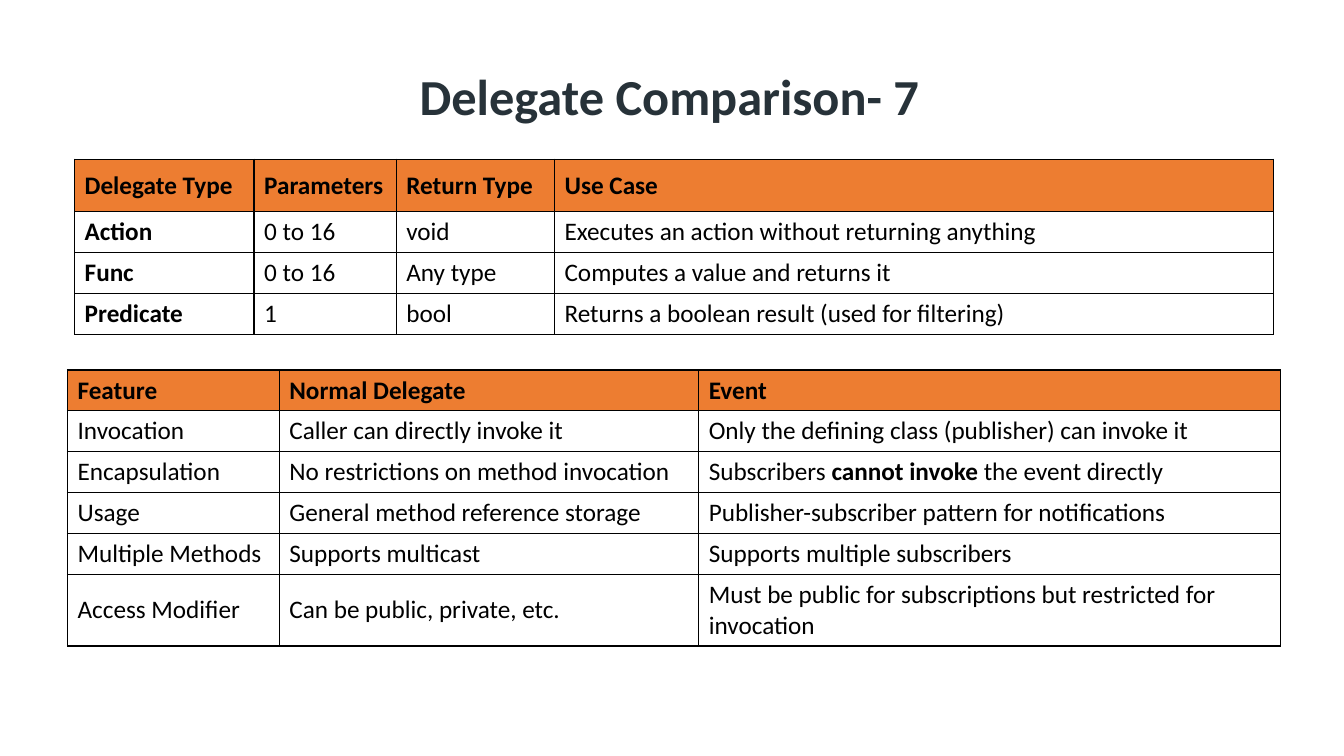
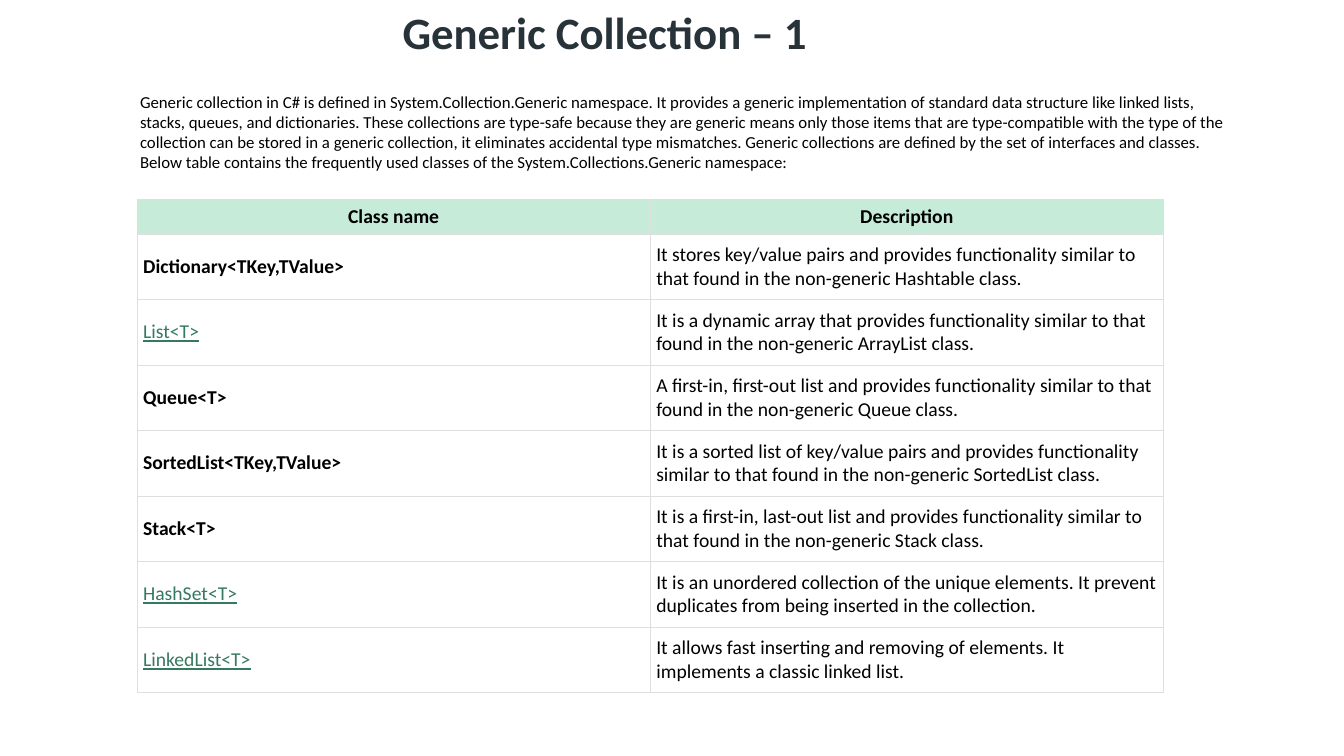
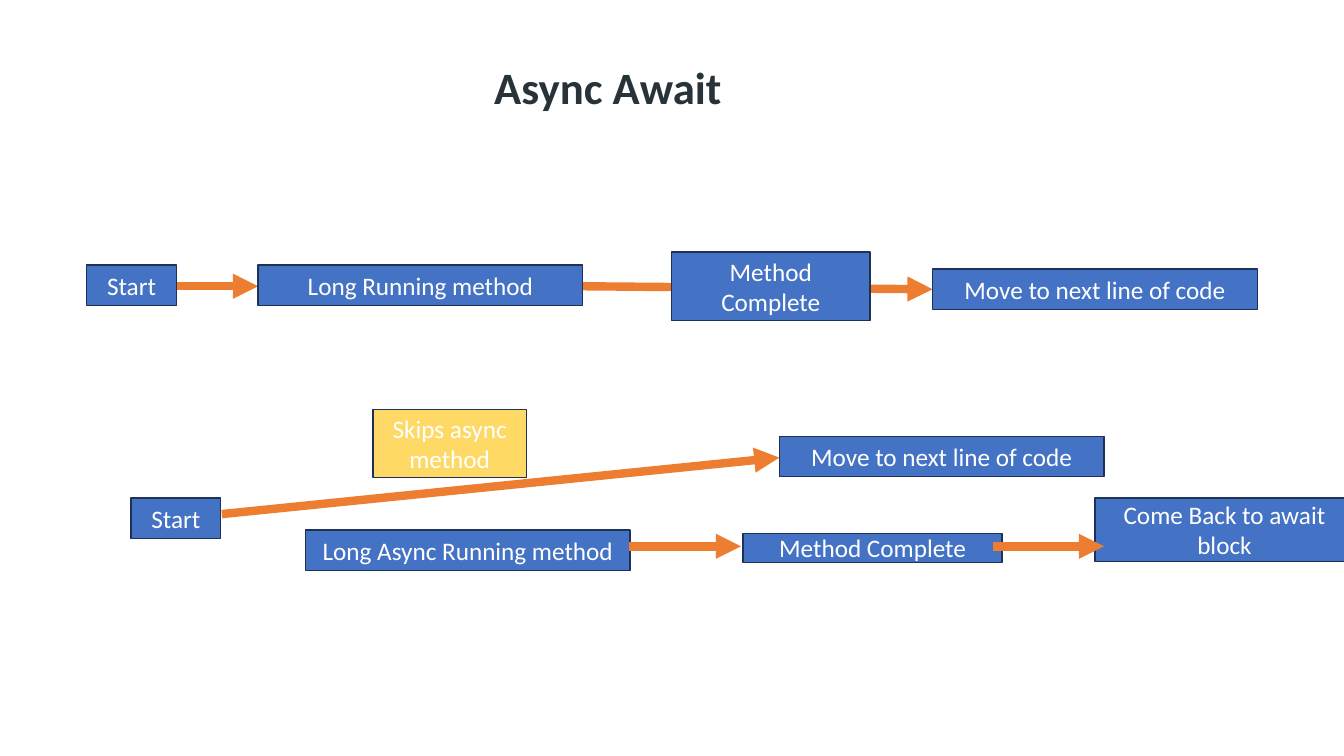
from lxml.etree import SubElement
from pptx import Presentation
from pptx.dml.color import RGBColor
from pptx.enum.shapes import MSO_CONNECTOR as Connector, MSO_SHAPE as Shape
from pptx.enum.text import MSO_ANCHOR as Anchor, MSO_AUTO_SIZE as AutoSize, PP_ALIGN as Align
from pptx.oxml import parse_xml
from pptx.oxml.ns import nsdecls, qn
from pptx.util import Inches, Pt

FONT = "Calibri"
BLACK, WHITE, INK = "000000", "FFFFFF", "273239"
ORANGE, BLUE, NAVY, YELLOW = "ED7D31", "4472C4", "1E3256", "FFD966"
MINT, GREEN, GRAY = "C6EBD9", "357960", "DFDFDF"
TITLE_ONLY = 5

DELEGATES = [
    ["Delegate Type", "Parameters", "Return Type", "Use Case"],
    ["**Action**", "0 to 16", "void", "Executes an action without returning anything"],
    ["**Func**", "0 to 16", "Any type", "Computes a value and returns it"],
    ["**Predicate**", "1", "bool", "Returns a boolean result (used for filtering)"],
]
FEATURES = [
    ["Feature", "Normal Delegate", "Event"],
    ["Invocation", "Caller can directly invoke it", "Only the defining class (publisher) can invoke it"],
    ["Encapsulation", "No restrictions on method invocation",
     "Subscribers **cannot invoke** the event directly"],
    ["Usage", "General method reference storage", "Publisher-subscriber pattern for notifications"],
    ["Multiple Methods", "Supports multicast", "Supports multiple subscribers"],
    ["Access Modifier", "Can be public, private, etc.",
     "Must be public for subscriptions but restricted for invocation"],
]
CLASSES = [
    ["Class name", "Description"],
    ["**Dictionary<TKey,TValue>**", "It stores key/value pairs and provides functionality similar to "
     "that found in the non-generic Hashtable class."],
    ["List<T>", "It is a dynamic array that provides functionality similar to that found in the "
     "non-generic ArrayList class."],
    ["**Queue<T>**", "A first-in, first-out list and provides functionality similar to that found in "
     "the non-generic Queue class."],
    ["**SortedList<TKey,TValue>**", "It is a sorted list of key/value pairs and provides functionality "
     "similar to that found in the non-generic SortedList class."],
    ["**Stack<T>**", "It is a first-in, last-out list and provides functionality similar to that found "
     "in the non-generic Stack class."],
    ["HashSet<T>", "It is an unordered collection of the unique elements. It prevent duplicates from "
     "being inserted in the collection."],
    ["LinkedList<T>", "It allows fast inserting and removing of elements. It implements a classic "
     "linked list."],
]
LINKED = {"List<T>", "HashSet<T>", "LinkedList<T>"}
INTRO = (
    "Generic collection in C# is defined in System.Collection.Generic namespace. It provides a generic "
    "implementation of standard data structure like linked lists, stacks, queues, and dictionaries. These "
    "collections are type-safe because they are generic means only those items that are type-compatible "
    "with the type of the collection can be stored in a generic collection, it eliminates accidental type "
    "mismatches. Generic collections are defined by the set of interfaces and classes. Below table contains "
    "the frequently used classes of the System.Collections.Generic namespace:"
)


def color(value):
    return RGBColor.from_string(value)


def inches(*lengths):
    return [Inches(length) for length in lengths]


def write(frame, text, size=18, ink=BLACK, bold=False, underline=False, align=Align.LEFT):
    para = frame.paragraphs[0]
    para.alignment = align
    for index, part in enumerate(text.split("**")):
        if part:
            span = para.add_run()
            span.text = part
            font = span.font
            font.name, font.size = FONT, Pt(size)
            font.bold = bold or index % 2 == 1
            font.underline = underline
            font.color.rgb = color(ink)


def add_page(deck, title, box, size=32):
    page = deck.slides.add_slide(deck.slide_layouts[TITLE_ONLY])
    heading = page.shapes.title
    heading.left, heading.top, heading.width, heading.height = inches(*box)
    frame = heading.text_frame
    frame.auto_size = AutoSize.NONE
    frame.vertical_anchor = Anchor.TOP
    write(frame, title, size=size, ink=INK, bold=True, align=Align.CENTER)
    return page


def add_borders(cell, line, width):
    properties = cell._tc.get_or_add_tcPr()
    for index, side in enumerate(("lnL", "lnR", "lnT", "lnB")):
        properties.insert(index, parse_xml(
            f'<a:{side} {nsdecls("a")} w="{Pt(width)}"><a:solidFill>'
            f'<a:srgbClr val="{line}"/></a:solidFill></a:{side}>'))


def add_grid(page, at, columns, heights, rows, head=ORANGE, line=BLACK, width=1, size=18,
             head_align=Align.LEFT, head_margin=(0.1, 0.05), margin=(0.1, 0.05)):
    table = page.shapes.add_table(
        len(rows), len(columns), *inches(*at, sum(columns), sum(heights))).table
    table.first_row = table.horz_banding = False
    for column, length in zip(table.columns, columns):
        column.width = Inches(length)
    for number, (row, height, texts) in enumerate(zip(table.rows, heights, rows)):
        row.height = Inches(height)
        top = number == 0
        across, down = inches(*(head_margin if top else margin))
        for cell, text in zip(row.cells, texts):
            cell.vertical_anchor = Anchor.MIDDLE
            cell.margin_left = cell.margin_right = across
            cell.margin_top = cell.margin_bottom = down
            cell.fill.solid()
            cell.fill.fore_color.rgb = color(head if top else WHITE)
            add_borders(cell, line, width)
            linked = text in LINKED
            write(cell.text_frame, text, size=size, ink=GREEN if linked else BLACK, bold=top,
                  underline=linked, align=head_align if top else Align.LEFT)


def add_step(page, text, box, fill=BLUE):
    step = page.shapes.add_shape(Shape.RECTANGLE, *inches(*box))
    step.shadow.inherit = False
    step.fill.solid()
    step.fill.fore_color.rgb = color(fill)
    step.line.color.rgb = color(NAVY)
    step.line.width = Pt(1)
    step.text_frame.word_wrap = True
    step.text_frame.vertical_anchor = Anchor.MIDDLE
    write(step.text_frame, text, ink=WHITE, align=Align.CENTER)


def add_arrow(page, ends):
    arrow = page.shapes.add_connector(Connector.STRAIGHT, *inches(*ends))
    arrow.line.color.rgb = color(ORANGE)
    arrow.line.width = Pt(6)
    properties = arrow.element.spPr
    SubElement(properties.find(qn("a:ln")), qn("a:tailEnd"), type="triangle")
    SubElement(properties, qn("a:effectLst"))


def add_lane(page, left, top, steps, behind=(), front=()):
    def shift(ends):
        x1, y1, x2, y2 = ends
        return left + x1, top + y1, left + x2, top + y2

    for ends in behind:
        add_arrow(page, shift(ends))
    for text, (x, y, width, height), fill in steps:
        add_step(page, text, (left + x, top + y, width, height), fill)
    for ends in front:
        add_arrow(page, shift(ends))


def build_delegates(deck):
    page = add_page(deck, "Delegate Comparison- 7", (3.3, 0.6, 6.68, 0.71), size=36)
    add_grid(page, (0.74, 1.58), [1.78, 1.41, 1.57, 7.13], [0.52] + [0.4] * 3, DELEGATES)
    add_grid(page, (0.67, 3.67), [2.1, 4.16, 5.77], [0.4] * 5 + [0.7], FEATURES)


def build_collections(deck):
    page = add_page(deck, "Generic Collection – 1", (1.36, 0, 9.28, 0.64))
    intro = page.shapes.add_textbox(*inches(1.29, 0.86, 11.12, 0.91)).text_frame
    intro.word_wrap = True
    write(intro, INTRO, size=12)
    add_grid(page, (1.36, 1.98), [5.09] * 2, [0.34] + [0.65] * 7, CLASSES, head=MINT, line=GRAY,
             width=0.18, size=14, head_align=Align.CENTER, head_margin=(0.03, 0.05),
             margin=(0.06, 0.09))


def build_async(deck):
    page = add_page(deck, "Async Await", (1.39, 0.54, 9.28, 0.64))
    add_lane(page, 0.86, 2.5, [
        ("Start", (0, 0.13, 0.89, 0.4), BLUE),
        ("Long Running method", (1.7, 0.13, 3.22, 0.4), BLUE),
        ("Method Complete", (5.8, 0, 1.97, 0.68), BLUE),
        ("Move to next line of code", (8.39, 0.17, 3.22, 0.4), BLUE),
    ], behind=[(0.89, 0.34, 1.7, 0.34), (4.91, 0.34, 8.39, 0.37)])
    add_lane(page, 1.3, 4.06, [
        ("Start", (0, 0.88, 0.89, 0.4), BLUE),
        ("Skips async method", (2.4, 0, 1.52, 0.68), YELLOW),
        ("Move to next line of code", (6.43, 0.27, 3.22, 0.4), BLUE),
        ("Long Async Running method", (1.73, 1.2, 3.22, 0.4), BLUE),
        ("Method Complete", (6.07, 1.23, 2.57, 0.29), BLUE),
        ("Come Back to await block", (9.56, 0.88, 2.57, 0.63), BLUE),
    ], behind=[(0.9, 1.04, 6.43, 0.48)],
        front=[(4.94, 1.36, 6.05, 1.36), (8.55, 1.36, 9.65, 1.36)])


def main():
    deck = Presentation()
    deck.slide_width, deck.slide_height = inches(13.33, 7.5)
    build_delegates(deck)
    build_collections(deck)
    build_async(deck)
    deck.save("out.pptx")


if __name__ == "__main__":
    main()
